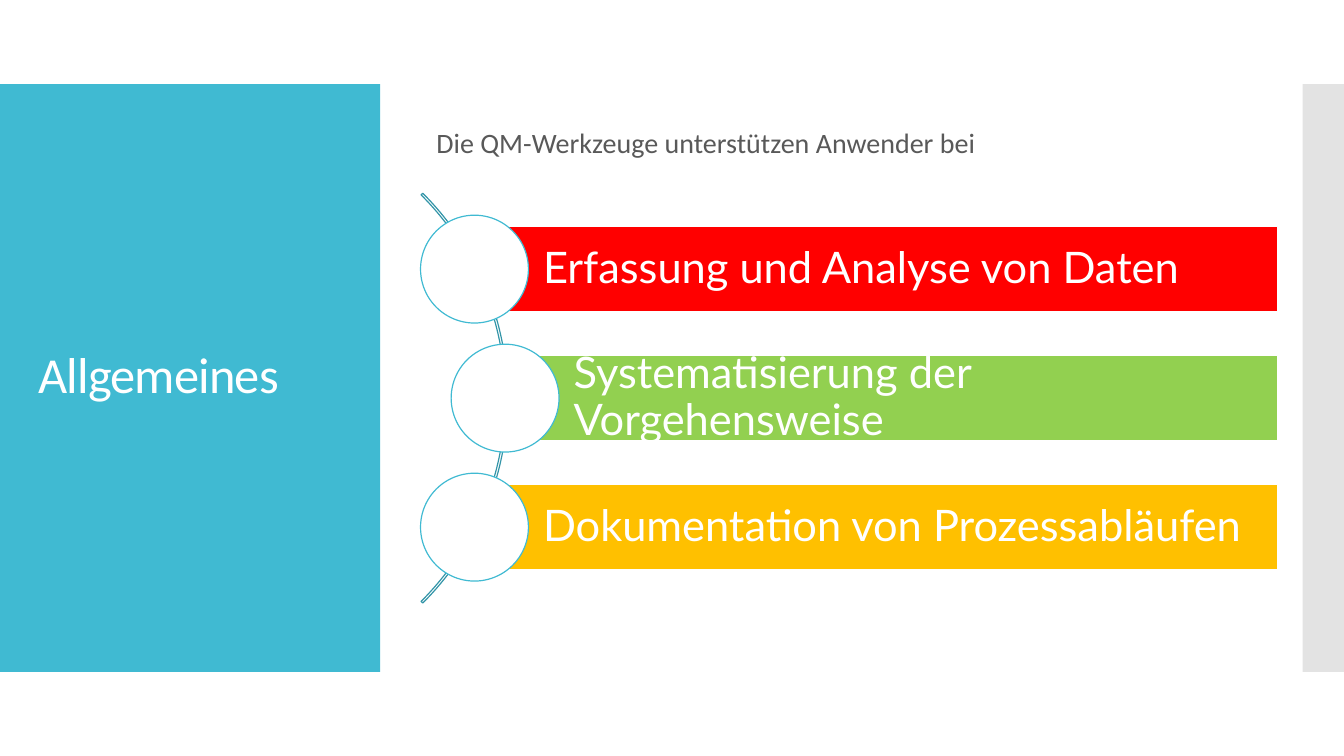
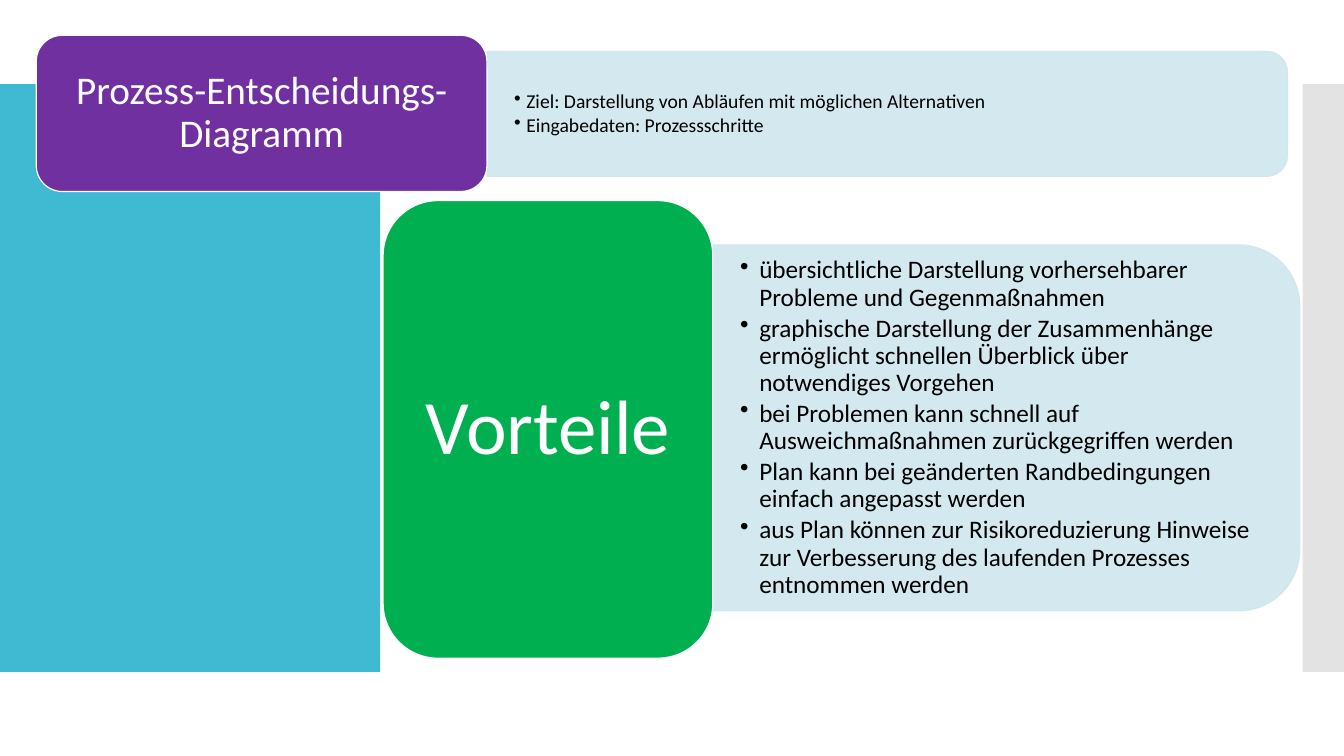
"""Build two slides on quality management tools."""
import math

import pptx
import pptx.dml.color
import pptx.enum.shapes
import pptx.enum.text
import pptx.oxml.ns
import pptx.util
from lxml import etree

RGBColor = pptx.dml.color.RGBColor
Inches = pptx.util.Inches
Pt = pptx.util.Pt
SHAPE = pptx.enum.shapes.MSO_SHAPE
ALIGN = pptx.enum.text.PP_ALIGN
qn = pptx.oxml.ns.qn

WIDTH, HEIGHT = 13.33, 7.5
TEAL = RGBColor(0x40, 0xBA, 0xD2)
DARK_TEAL = RGBColor(0x33, 0x95, 0xA8)
PALE_BLUE = RGBColor(0xCF, 0xE7, 0xEE)
SILVER = RGBColor(0xC8, 0xC8, 0xC8)
GREY = RGBColor(0x59, 0x59, 0x59)
WHITE = RGBColor(0xFF, 0xFF, 0xFF)
BLACK = RGBColor(0x00, 0x00, 0x00)
RED = RGBColor(0xFF, 0x00, 0x00)
LIME = RGBColor(0x92, 0xD0, 0x50)
AMBER = RGBColor(0xFF, 0xC0, 0x00)
GREEN = RGBColor(0x00, 0xB0, 0x50)
PURPLE = RGBColor(0x70, 0x30, 0xA0)

BAND_TOP, BAND_HEIGHT = HEIGHT / 9, HEIGHT * 7 / 9
BANDS = [
    {"left": 0, "width": 3.77, "color": TEAL, "opacity": None},
    {"left": 12.92, "width": 0.42, "color": SILVER, "opacity": 50},
]

INTRO = "Die QM-Werkzeuge unterstützen Anwender bei"
TASKS = [
    ("Erfassung und Analyse von Daten", RED),
    ("Systematisierung der Vorgehensweise", LIME),
    ("Dokumentation von Prozessabläufen", AMBER),
]
ARC_X, ARC_Y, ARC_SIZE, ORBIT = 2.16, 3.95, 5.75, 2.85
TASK_PITCH, BAR_HEIGHT, BAR_RIGHT, DISC = 1.28, 0.85, 12.67, 1.07

TOOL = "Prozess-Entscheidungs-Diagramm"
TOPICS = [
    {
        "card": (3.8, 1.99, 3.27, 4.54), "color": GREEN, "label": "Vorteile",
        "panel": (7.07, 2.43, 5.82, 3.63), "size": 18, "indent": 0.19,
        "points": [
            "übersichtliche Darstellung vorhersehbarer Probleme und Gegenmaßnahmen",
            "graphische Darstellung der Zusammenhänge ermöglicht schnellen Überblick über notwendiges Vorgehen",
            "bei Problemen kann schnell auf Ausweichmaßnahmen zurückgegriffen werden",
            "Plan kann bei geänderten Randbedingungen einfach angepasst werden",
            "aus Plan können zur Risikoreduzierung Hinweise zur Verbesserung des laufenden Prozesses entnommen werden",
        ],
    },
    {
        "card": (0.36, 0.35, 4.47, 1.55), "color": PURPLE, "label": None,
        "panel": (4.83, 0.51, 7.94, 1.24), "size": 14, "indent": 0.12,
        "points": [
            "Ziel: Darstellung von Abläufen mit möglichen Alternativen",
            "Eingabedaten: Prozessschritte",
        ],
    },
]


def add_shape(page, kind, area, fill=None, line=None, opacity=None):
    """Add a flat preset shape with the given fill and outline."""
    shape = page.shapes.add_shape(kind, *map(Inches, area))
    shape.shadow.inherit = False
    if fill is None:
        shape.fill.background()
    else:
        shape.fill.solid()
        shape.fill.fore_color.rgb = fill
    if line is None:
        shape.line.fill.background()
    else:
        shape.line.color.rgb = line
        shape.line.width = Pt(0.85)
    if opacity is not None:
        for color in shape.element.iter(qn("a:srgbClr")):
            etree.SubElement(color, qn("a:alpha"), val=str(opacity * 1000))
    return shape


def write(box, lines, size, color, font="Calibri", align=ALIGN.LEFT,
          insets=(0.1, 0.05, 0.1, 0.05), indent=0):
    """Fill a box with paragraphs, bulleted when an indent is given."""
    frame = box.text_frame
    frame_format = {
        "word_wrap": True,
        "auto_size": pptx.enum.text.MSO_AUTO_SIZE.NONE,
        "vertical_anchor": pptx.enum.text.MSO_ANCHOR.MIDDLE,
    }
    sides = ("left", "top", "right", "bottom")
    frame_format.update({f"margin_{side}": Inches(inset) for side, inset in zip(sides, insets)})
    for name, value in frame_format.items():
        setattr(frame, name, value)
    for number, line in enumerate(lines):
        para = frame.add_paragraph() if number else frame.paragraphs[0]
        if indent:
            properties = para._p.get_or_add_pPr()
            properties.set("marL", str(Inches(indent)))
            properties.set("indent", str(-Inches(indent)))
            etree.SubElement(properties, qn("a:buChar"), char="•")
        para_format = {"alignment": align, "line_spacing": 0.9, "space_before": Pt(0),
                       "space_after": Pt(0.15 * size if indent else 0)}
        for name, value in para_format.items():
            setattr(para, name, value)
        span = para.add_run()
        span.text = line
        for name, value in {"name": font, "size": Pt(size)}.items():
            setattr(span.font, name, value)
        span.font.color.rgb = color


def place_title(page, text, area, size, **style):
    """Place the title placeholder in front of the other shapes."""
    title = page.shapes.title
    for name, value in zip(("left", "top", "width", "height"), area):
        setattr(title, name, Inches(value))
    write(title, [text], size, WHITE, **style)
    page.shapes.element.append(title.element)
    return title


def add_bands(page):
    """Put the shared side bands on the layout of the page."""
    for band in BANDS:
        area = (band["left"], BAND_TOP, band["width"], BAND_HEIGHT)
        shape = add_shape(page, SHAPE.RECTANGLE, area, band["color"], opacity=band["opacity"])
        page.slide_layout.shapes.element.insert(2, shape.element)


def build_overview(page):
    """Build the slide with three tasks along an arc."""
    title = place_title(page, "Allgemeines", (0.28, 1.23, 3.22, 5.03), 36)
    title.text_frame.paragraphs[0].runs[0]._r.get_or_add_rPr().set("spc", "-60")
    intro = page.shapes.add_textbox(*map(Inches, (4.23, 1.18, 8, 0.5)))
    write(intro, [INTRO], 20, GREY)
    arc_area = (ARC_X - ARC_SIZE / 2, ARC_Y - ARC_SIZE / 2, ARC_SIZE, ARC_SIZE)
    arc = add_shape(page, SHAPE.BLOCK_ARC, arc_area, line=DARK_TEAL)
    for number, value in enumerate((189, 27, 0.004)):
        arc.adjustments[number] = value
    for number, (task, color) in enumerate(TASKS):
        rise = (number - (len(TASKS) - 1) / 2) * TASK_PITCH
        x, y = ARC_X + math.sqrt(ORBIT ** 2 - rise ** 2), ARC_Y + rise
        bar_area = (x, y - BAR_HEIGHT / 2, BAR_RIGHT - x, BAR_HEIGHT)
        bar = add_shape(page, SHAPE.RECTANGLE, bar_area, color, WHITE)
        write(bar, [task], 31, WHITE, font="Lato", insets=(0.68, 0.09, 0.09, 0.09))
        add_shape(page, SHAPE.OVAL, (x - DISC / 2, y - DISC / 2, DISC, DISC), WHITE, TEAL)


def build_tool(page):
    """Build the slide with two cards and their bullet panels."""
    for topic in TOPICS:
        left, top, width, height = topic["panel"]
        turned = (left + (width - height) / 2, top + (height - width) / 2, height, width)
        panel = add_shape(page, SHAPE.ROUND_2_SAME_RECTANGLE, turned, PALE_BLUE, PALE_BLUE, 90)
        panel.rotation = 90
        corner = 0.29 * height / 6
        text_area = (left, top + corner, width - corner, height - 2 * corner)
        box = page.shapes.add_textbox(*map(Inches, text_area))
        write(box, topic["points"], topic["size"], BLACK,
              insets=(0.27, 0.14, 0.27, 0.14), indent=topic["indent"])
        card = add_shape(page, SHAPE.ROUNDED_RECTANGLE, topic["card"], topic["color"], WHITE)
        if topic["label"]:
            write(card, [topic["label"]], 55, WHITE, align=ALIGN.CENTER,
                  insets=(0.23, 0.11, 0.23, 0.11))
        else:
            place_title(page, TOOL, topic["card"], 28, align=ALIGN.CENTER,
                        insets=(0.2, 0.14, 0.2, 0.14))


def main():
    """Create and save the deck."""
    deck = pptx.Presentation()
    deck.slide_width, deck.slide_height = Inches(WIDTH), Inches(HEIGHT)
    layout = deck.slide_layouts[5]
    overview, tool = [deck.slides.add_slide(layout) for _ in range(2)]
    add_bands(overview)
    build_overview(overview)
    build_tool(tool)
    deck.save("out.pptx")


if __name__ == "__main__":
    main()
